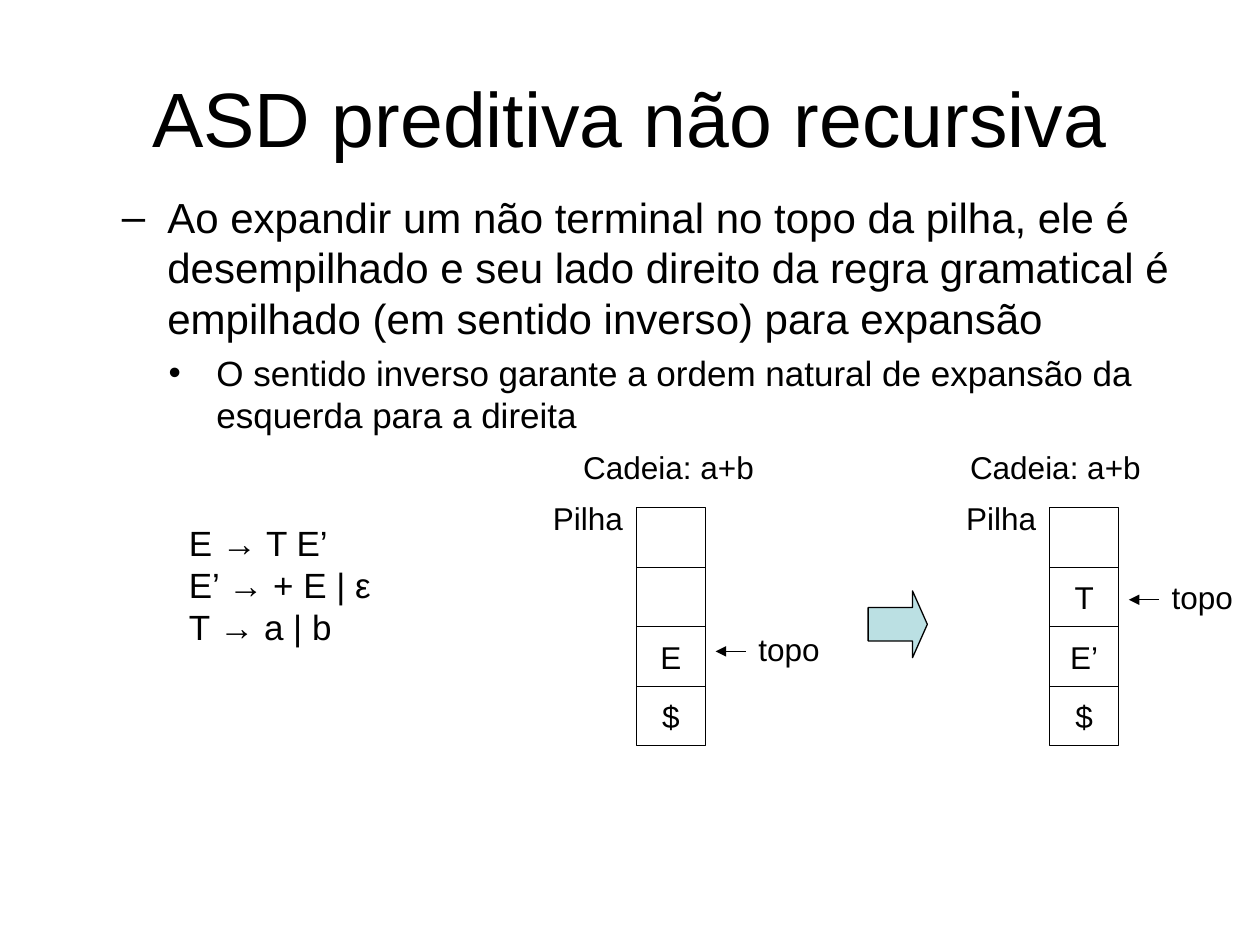
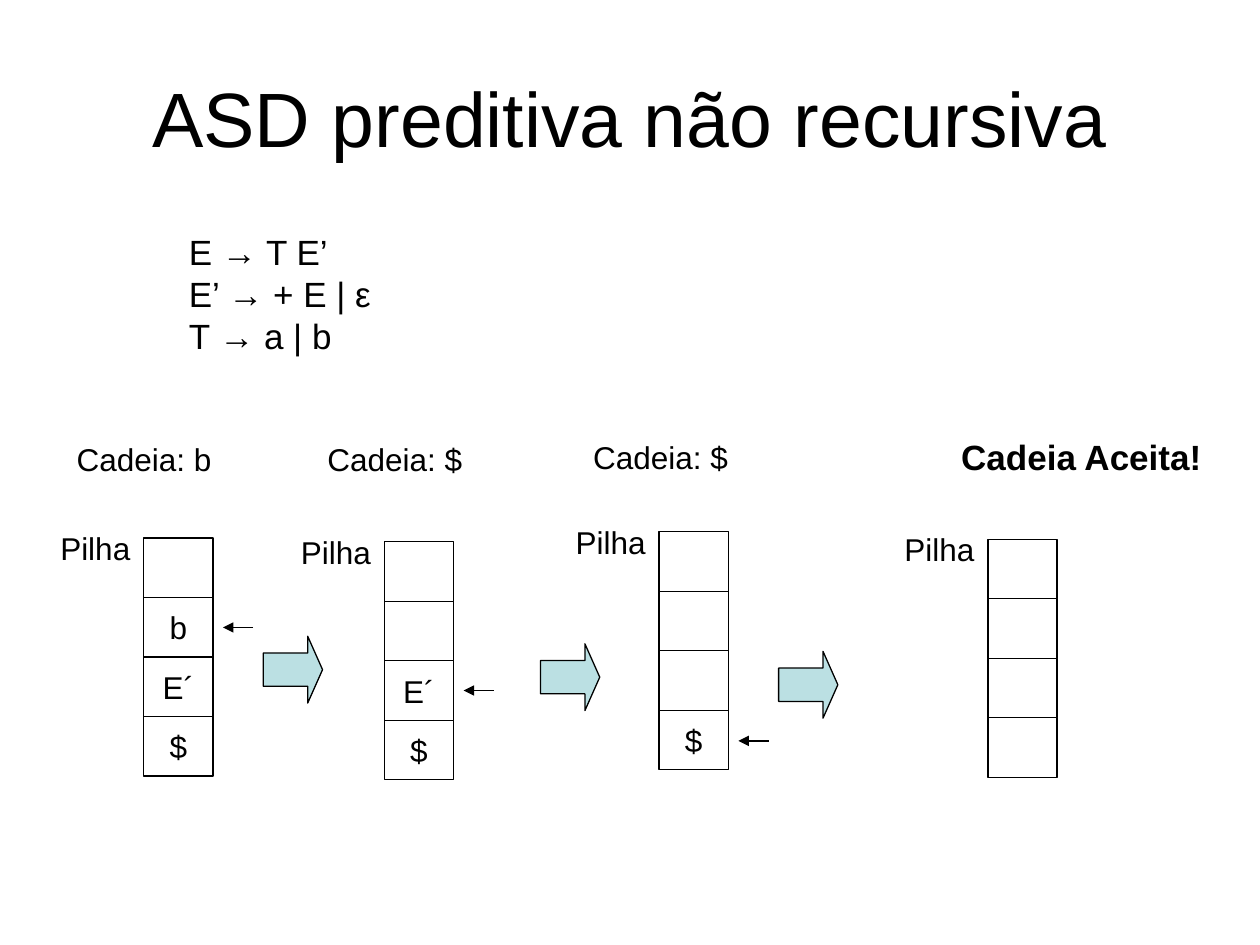
from lxml import etree
from pptx import Presentation
from pptx.dml.color import RGBColor
from pptx.enum.shapes import MSO_CONNECTOR, MSO_SHAPE
from pptx.enum.text import MSO_ANCHOR, MSO_AUTO_SIZE, PP_ALIGN
from pptx.oxml.ns import qn
from pptx.util import Pt

RECTANGLE, RIGHT_ARROW = MSO_SHAPE.RECTANGLE, MSO_SHAPE.RIGHT_ARROW
STRAIGHT = MSO_CONNECTOR.STRAIGHT
TOP, MIDDLE = MSO_ANCHOR.TOP, MSO_ANCHOR.MIDDLE
FIXED, FIT_SHAPE = MSO_AUTO_SIZE.NONE, MSO_AUTO_SIZE.SHAPE_TO_FIT_TEXT
LEFT, CENTER = PP_ALIGN.LEFT, PP_ALIGN.CENTER

BLACK = RGBColor(0x00, 0x00, 0x00)
PALE_TEAL = RGBColor(0xBB, 0xE0, 0xE3)
FONT = "Arial"
LINE_WIDTH = Pt(0.75)
TITLE_ONLY = 5

PX = 9144  # EMU in one px, at 100 px to the inch
CELL_WIDTH, STACK_HEIGHT = 55, 189
INSET_X, INSET_Y = 10, 5

TITLE = "ASD preditiva não recursiva"
GRAMMAR = ["E → T E’", "E’ → + E | ε", "T → a | b"]


def px(*lengths):
    return [round(length * PX) for length in lengths]


def write(shape, lines, size=18, bold=False, align=LEFT, anchor=TOP,
          wrap=False, fit=FIXED):
    """Put lines of text in a shape and return its paragraphs."""
    frame = shape.text_frame
    frame.text = "\n".join(lines)
    frame.word_wrap, frame.auto_size = wrap, fit
    frame.vertical_anchor = anchor
    frame.margin_left = frame.margin_right = INSET_X * PX
    frame.margin_top = frame.margin_bottom = INSET_Y * PX
    for paragraph in frame.paragraphs:
        paragraph.alignment = align
        for run in paragraph.runs:
            font = run.font
            font.name, font.size, font.bold = FONT, Pt(size), bold
            font.color.rgb = BLACK
    return frame.paragraphs


def indent(paragraph, level, margin, hanging=0, bullet=None):
    paragraph.level = level
    properties = paragraph._p.get_or_add_pPr()
    properties.set("marL", str(margin * PX))
    properties.set("indent", str(-hanging * PX))
    if bullet:
        etree.SubElement(properties, qn("a:buFont"), typeface=FONT)
        etree.SubElement(properties, qn("a:buChar"), char=bullet)


def add_label(slide, text, left, top, width, height=40, **text_format):
    """Add a one-line label; its width leaves a little room past the text."""
    box = slide.shapes.add_textbox(*px(left, top, width, height))
    write(box, [text], fit=FIT_SHAPE, **text_format)


def add_outlined(slide, kind, left, top, width, height, fill=None):
    shape = slide.shapes.add_shape(kind, *px(left, top, width, height))
    shape.shadow.inherit = False
    shape.line.color.rgb, shape.line.width = BLACK, LINE_WIDTH
    if fill is None:
        shape.fill.background()
    else:
        shape.fill.solid()
        shape.fill.fore_color.rgb = fill
    return shape


def add_step_arrow(slide, left, top):
    arrow = add_outlined(slide, RIGHT_ARROW, left, top, 47, 53, PALE_TEAL)
    arrow.adjustments[0], arrow.adjustments[1] = 0.5, 0.25


def add_pointer(slide, start, end, y):
    pointer = slide.shapes.add_connector(STRAIGHT, *px(start, y, end, y))
    pointer.line.color.rgb, pointer.line.width = BLACK, LINE_WIDTH
    etree.SubElement(pointer.line._get_or_add_ln(), qn("a:tailEnd"),
                     type="triangle")
    etree.SubElement(pointer._element.spPr, qn("a:effectLst"))


def add_stack(slide, left, top, cells, pointer_y=None, pointer_label=None):
    """Draw a stack from top to bottom, with its name and top pointer."""
    cell_height = STACK_HEIGHT / len(cells)
    for row, symbol in enumerate(cells):
        cell = add_outlined(slide, RECTANGLE, left, top + row * cell_height,
                            CELL_WIDTH, cell_height)
        if symbol:
            write(cell, [symbol], align=CENTER, anchor=MIDDLE)
    add_label(slide, "Pilha", left - 76, top - 12, 78)
    if pointer_y:
        add_pointer(slide, left + 87, left + 63, pointer_y)
    if pointer_label:
        add_label(slide, pointer_label, left + 87, pointer_y - 22, 71)


def add_grammar(slide, top):
    box = slide.shapes.add_textbox(*px(90, top, 303, 110))
    for rule in write(box, GRAMMAR, size=20, wrap=True, fit=FIT_SHAPE):
        indent(rule, 1, 50)


def add_explanation(slide):
    box = slide.shapes.add_textbox(*px(50, 147, 900, 496))
    expansion, order = write(box, [
        "Ao expandir um não terminal no topo da pilha, ele é desempilhado "
        "e seu lado direito da regra gramatical é empilhado (em sentido "
        "inverso) para expansão",
        "O sentido inverso garante a ordem natural de expansão da esquerda "
        "para a direita",
    ], size=24, wrap=True)
    order.runs[0].font.size = Pt(20)
    expansion.space_before, order.space_before = Pt(6), Pt(5)
    indent(expansion, 1, 73, 36, "–")
    indent(order, 2, 112, 38, "•")


def add_titled_slide(deck):
    slide = deck.slides.add_slide(deck.slide_layouts[TITLE_ONLY])
    title = slide.shapes.title
    title.left, title.top, title.width, title.height = px(50, 30, 900, 125)
    write(title, [TITLE], size=44, align=CENTER, anchor=MIDDLE, wrap=True)
    return slide


def build_expansion_slide(deck):
    slide = add_titled_slide(deck)
    add_explanation(slide)
    add_grammar(slide, 409)
    add_stack(slide, 505, 403, ["", "", "E", "$"], 517, "topo")
    add_stack(slide, 833, 403, ["", "T", "E’", "$"], 476, "topo")
    add_step_arrow(slide, 689, 469)
    for left in (453, 760):
        add_label(slide, "Cadeia: a+b", left, 351, 159)


def build_acceptance_slide(deck):
    slide = add_titled_slide(deck)
    add_grammar(slide, 178)
    # Stack states, from left to right
    add_stack(slide, 114, 427, ["", "b", "E´", "$"], 498)
    add_stack(slide, 305, 430, ["", "", "E´", "$"], 548)
    add_stack(slide, 523, 422, ["", "", "", "$"], 588)
    add_stack(slide, 784, 428, ["", "", "", ""])
    for left, top in ((209, 505), (429, 511), (618, 517)):
        add_step_arrow(slide, left, top)
    # Remaining input above each stack
    for text, left, top in (("Cadeia: b", 51, 344), ("Cadeia: $", 250, 344),
                            ("Cadeia: $", 461, 343)):
        add_label(slide, text, left, top, 130)
    add_label(slide, "Cadeia Aceita!", 753, 341, 215, 77, size=20, bold=True)


def main():
    deck = Presentation()
    deck.slide_width, deck.slide_height = px(1000, 750)
    build_expansion_slide(deck)
    build_acceptance_slide(deck)
    deck.save("out.pptx")


if __name__ == "__main__":
    main()
